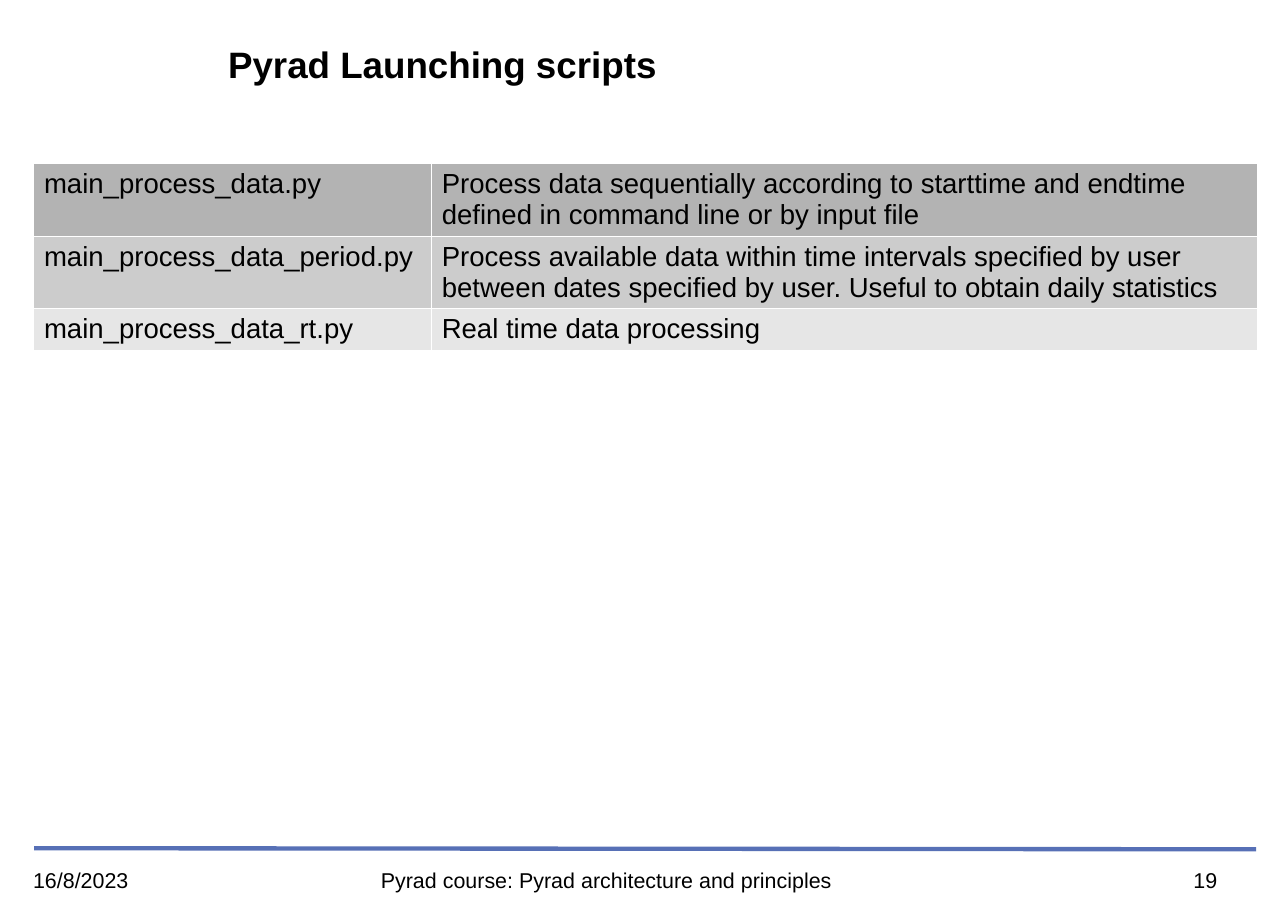
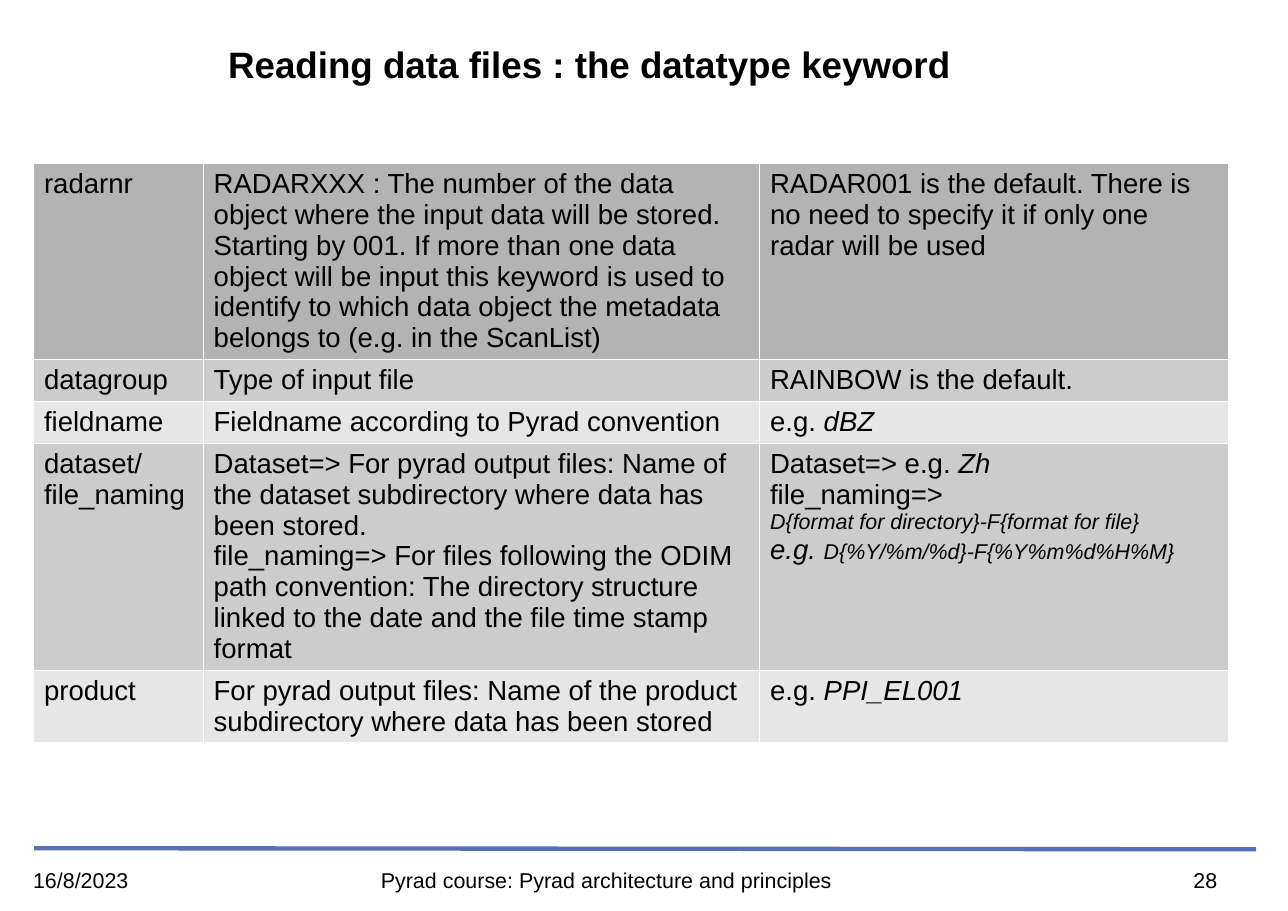
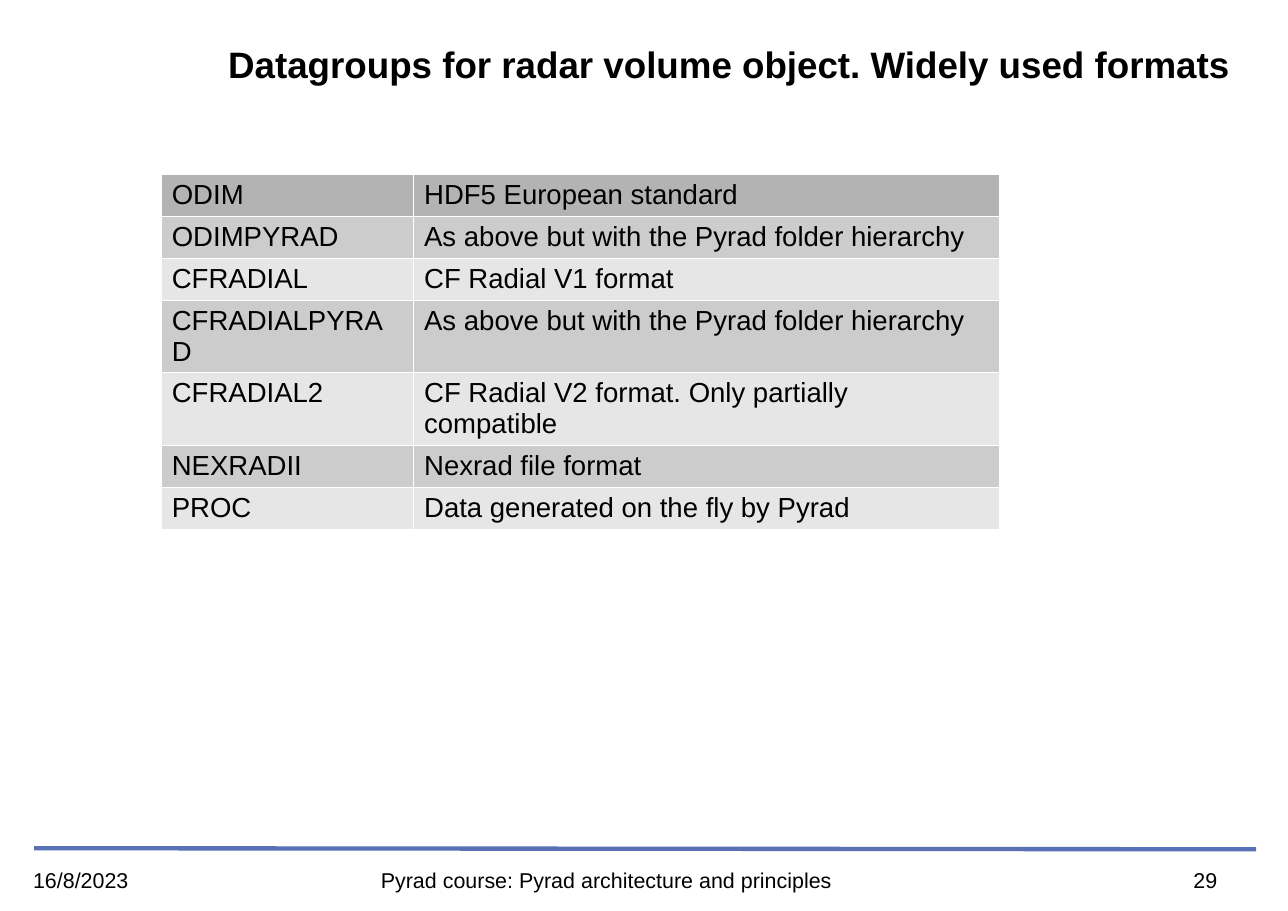
import pptx
import pptx.util
import pptx.dml.color
import pptx.enum.shapes
import pptx.enum.text
import pptx.oxml
import pptx.oxml.ns

Inches = pptx.util.Inches
Align = pptx.enum.text.PP_ALIGN
Anchor = pptx.enum.text.MSO_ANCHOR

FONT = "Arial"
BLACK, WHITE, RULE_BLUE = "000000", "FFFFFF", "5770B6"
HEADER_GREY, BAND_GREYS = "B3B3B3", ("CCCCCC", "E6E6E6")
DATE = "16/8/2023"
COURSE = "Pyrad course: Pyrad architecture and principles"
LINE_HEIGHT, CELL_PADDING = 0.28, 0.1
ITALIC = {"italic": True}
SMALL_ITALIC = {"italic": True, "size": 14}

SLIDES = [
    {
        "title": "Pyrad Launching scripts",
        "page": "19",
        "corner": (0.3, 1.48),
        "columns": (3.61, 7.5),
        "row_lines": (2, 2, 1),
        "rows": [
            ("main_process_data.py",
             "Process data sequentially according to starttime and endtime defined in command line or by input file"),
            ("main_process_data_period.py",
             "Process available data within time intervals specified by user between dates specified by user. "
             "Useful to obtain daily statistics"),
            ("main_process_data_rt.py", "Real time data processing"),
        ],
    },
    {
        "title": "Reading data files : the datatype keyword",
        "page": "28",
        "corner": (0.3, 1.48),
        "columns": (1.54, 5.05, 4.26),
        "row_lines": (6, 1, 1, 7, 2),
        "rows": [
            ("radarnr",
             "RADARXXX : The number of the data object where the input data will be stored. Starting by 001. "
             "If more than one data object will be input this keyword is used to identify to which data object "
             "the metadata belongs to (e.g. in the ScanList)",
             "RADAR001 is the default. There is no need to specify it if only one radar will be used"),
            ("datagroup", "Type of input file", "RAINBOW is the default."),
            ("fieldname", "Fieldname according to Pyrad convention",
             [[("e.g. ", {}), ("dBZ", ITALIC)]]),
            ("dataset/file_naming",
             [[("Dataset=> For pyrad output files: Name of the dataset subdirectory where data has been stored.", {})],
              [("file_naming=> For files following the ODIM path convention: The directory structure linked to "
                "the date and the file time stamp format", {})]],
             [[("Dataset=> e.g. ", {}), ("Zh", ITALIC)],
              [("file_naming=>", {})],
              [("D{format for directory}-F{format for file}", SMALL_ITALIC)],
              [("e.g. ", ITALIC), ("D{%Y/%m/%d}-F{%Y%m%d%H%M}", SMALL_ITALIC)]]),
            ("product",
             "For pyrad output files: Name of the product subdirectory where data has been stored",
             [[("e.g. ", {}), ("PPI_EL001", ITALIC)]]),
        ],
    },
    {
        "title": "Datagroups for radar volume object. Widely used formats",
        "page": "29",
        "corner": (1.46, 1.58),
        "columns": (2.29, 5.32),
        "row_lines": (1, 1, 1, 2, 2, 1, 1),
        "rows": [
            ("ODIM", "HDF5 European standard"),
            ("ODIMPYRAD", "As above but with the Pyrad folder hierarchy"),
            ("CFRADIAL", "CF Radial V1 format"),
            ("CFRADIALPYRAD", "As above but with the Pyrad folder hierarchy"),
            ("CFRADIAL2", "CF Radial V2 format. Only partially compatible"),
            ("NEXRADII", "Nexrad file format"),
            ("PROC", "Data generated on the fly by Pyrad"),
        ],
    },
]


def color(hex_code):
    return pptx.dml.color.RGBColor.from_string(hex_code)


def paint(fill, hex_code):
    fill.solid()
    fill.fore_color.rgb = color(hex_code)


def write(frame, text, size=18, bold=False, align=Align.LEFT, spacing=None,
          anchor=Anchor.TOP, margins=(0, 0)):
    frame.word_wrap = True
    frame.vertical_anchor = anchor
    frame.margin_left = frame.margin_right = Inches(margins[0])
    frame.margin_top = frame.margin_bottom = Inches(margins[1])
    paragraphs = [[(text, {})]] if isinstance(text, str) else text
    for index, runs in enumerate(paragraphs):
        paragraph = frame.add_paragraph() if index else frame.paragraphs[0]
        paragraph.alignment = align
        paragraph.line_spacing = spacing
        for words, style in runs:
            run = paragraph.add_run()
            run.text = words
            run.font.name = FONT
            run.font.size = pptx.util.Pt(style.get("size", size))
            run.font.bold = bold
            run.font.italic = style.get("italic", False)
            run.font.color.rgb = color(BLACK)


def add_rule(slide):
    rule = slide.shapes.add_connector(
        pptx.enum.shapes.MSO_CONNECTOR.STRAIGHT,
        Inches(0.31), Inches(7.7), Inches(11.4), Inches(7.71))
    rule.line.color.rgb = color(RULE_BLUE)
    rule.line.width = pptx.util.Pt(2.83)
    pptx.oxml.ns.qn("a:effectLst")
    rule._element.spPr.append(
        pptx.oxml.parse_xml(f'<a:effectLst {pptx.oxml.ns.nsdecls("a")}/>'))


def add_title(slide, text):
    title = slide.shapes.title
    title.left, title.top = Inches(2.07), Inches(0.27)
    title.width, title.height = Inches(9.24), Inches(0.67)
    paint(title.fill, WHITE)
    write(title.text_frame, text, size=24, bold=True, spacing=0.9, anchor=Anchor.MIDDLE)
    title.text_frame.auto_size = pptx.enum.text.MSO_AUTO_SIZE.NONE


def add_footer(slide, page):
    for text, left, width, height, align in (
        (COURSE, 1.49, 8.03, 0.39, Align.CENTER),
        (page, 10.37, 1.14, 0.23, Align.CENTER),
        (DATE, 0.3, 2.72, 0.57, Align.LEFT),
    ):
        box = slide.shapes.add_textbox(Inches(left), Inches(7.87), Inches(width), Inches(height))
        write(box.text_frame, text, size=14, align=align)


def add_borders(cell):
    properties = cell._tc.get_or_add_tcPr()
    for side in "LRTB":
        properties.append(pptx.oxml.parse_xml(
            f'<a:ln{side} {pptx.oxml.ns.nsdecls("a")} w="762"><a:solidFill>'
            f'<a:srgbClr val="{WHITE}"/></a:solidFill></a:ln{side}>'))


def add_grid(slide, corner, columns, row_lines, rows):
    heights = [CELL_PADDING + LINE_HEIGHT * lines for lines in row_lines]
    table = slide.shapes.add_table(
        len(rows), len(columns), Inches(corner[0]), Inches(corner[1]),
        Inches(sum(columns)), Inches(sum(heights))).table
    table.first_row = table.horz_banding = False
    for column, width in zip(table.columns, columns):
        column.width = Inches(width)
    for index, (row, height, texts) in enumerate(zip(table.rows, heights, rows)):
        row.height = Inches(height)
        grey = BAND_GREYS[(index - 1) % 2] if index else HEADER_GREY
        for cell, text in zip(row.cells, texts):
            add_borders(cell)
            paint(cell.fill, grey)
            write(cell.text_frame, text)
            cell.vertical_anchor = Anchor.TOP
            cell.margin_left = cell.margin_right = Inches(0.1)
            cell.margin_top = cell.margin_bottom = Inches(0.05)


def main():
    deck = pptx.Presentation()
    deck.slide_width, deck.slide_height = Inches(11.69), Inches(8.27)
    title_only = deck.slide_layouts[5]
    for content in SLIDES:
        slide = deck.slides.add_slide(title_only)
        add_rule(slide)
        add_title(slide, content["title"])
        add_grid(slide, content["corner"], content["columns"], content["row_lines"], content["rows"])
        add_footer(slide, content["page"])
    deck.save("out.pptx")


if __name__ == "__main__":
    main()
